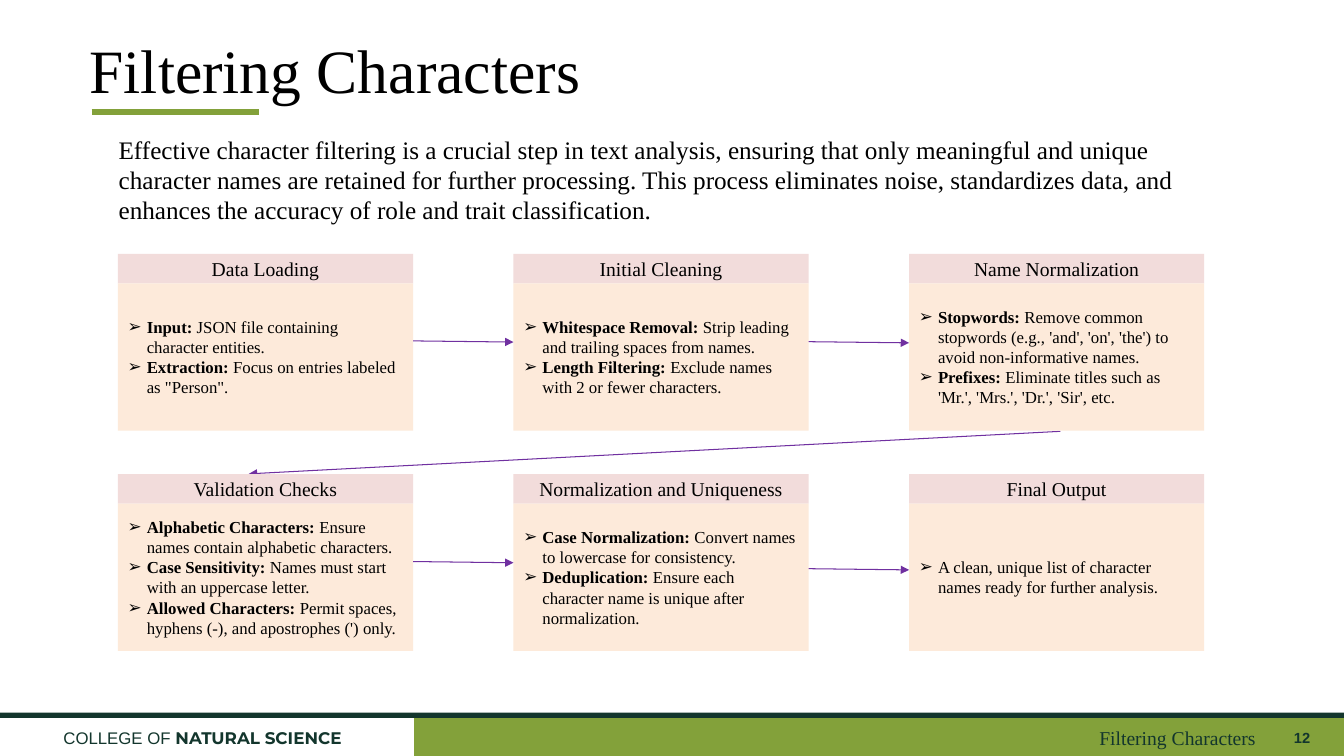
from lxml import etree
from pptx import Presentation
from pptx.dml.color import RGBColor
from pptx.enum import shapes, text
from pptx.oxml.ns import qn
from pptx.util import Cm, Pt

BLACK = RGBColor(0x00, 0x00, 0x00)
GREEN = RGBColor(0x83, 0xA1, 0x3A)
DARK_GREEN = RGBColor(0x13, 0x36, 0x2D)
PINK = RGBColor(0xF2, 0xDC, 0xDB)
PEACH = RGBColor(0xFD, 0xEA, 0xDA)
PURPLE = RGBColor(0x70, 0x30, 0xA0)
SERIF = "Times New Roman"
SANS = "Arial"

SLIDE_WIDTH, SLIDE_HEIGHT = 33.87, 19.05
CARD_LEFT, CARD_TOP = 2.97, 6.4
COLUMN_STEP, ROW_STEP = 9.97, 5.55
CARD_WIDTH, HEADER_HEIGHT, BODY_HEIGHT = 7.44, 0.74, 3.71
ARROW_DROP = 0.03

TITLE = "Filtering Characters"
INTRO = (
    "Effective character filtering is a crucial step in text analysis, ensuring that only "
    "meaningful and unique character names are retained for further processing. This process "
    "eliminates noise, standardizes data, and enhances the accuracy of role and trait "
    "classification."
)

# Rows of cards: heading, then (bold lead, explanation) for each bullet
STEPS = [
    [
        ("Data Loading", [
            ("Input: ", "JSON file containing character entities."),
            ("Extraction: ", 'Focus on entries labeled as "Person".'),
        ]),
        ("Initial Cleaning", [
            ("Whitespace Removal: ", "Strip leading and trailing spaces from names."),
            ("Length Filtering: ", "Exclude names with 2 or fewer characters."),
        ]),
        ("Name Normalization", [
            ("Stopwords: ", "Remove common stopwords (e.g., 'and', 'on', 'the') to avoid "
                            "non-informative names."),
            ("Prefixes: ", "Eliminate titles such as 'Mr.', 'Mrs.', 'Dr.', 'Sir', etc."),
        ]),
    ],
    [
        ("Validation Checks", [
            ("Alphabetic Characters: ", "Ensure names contain alphabetic characters."),
            ("Case Sensitivity: ", "Names must start with an uppercase letter."),
            ("Allowed Characters: ", "Permit spaces, hyphens (-), and apostrophes (') only."),
        ]),
        ("Normalization and Uniqueness", [
            ("Case Normalization: ", "Convert names to lowercase for consistency."),
            ("Deduplication: ", "Ensure each character name is unique after normalization."),
        ]),
        ("Final Output", [
            ("", "A clean, unique list of character names ready for further analysis."),
        ]),
    ],
]
# Start height of each arrow between neighbouring cards
ARROW_HEIGHTS = [[8.59, 8.61], [14.15, 14.33]]


def set_font(paragraph, size, color=BLACK, name=SERIF):
    paragraph.font.size = Pt(size)
    paragraph.font.name = name
    paragraph.font.color.rgb = color


def add_block(slide, left, top, width, height, color):
    block = slide.shapes.add_shape(
        shapes.MSO_SHAPE.RECTANGLE, Cm(left), Cm(top), Cm(width), Cm(height))
    block.shadow.inherit = False
    block.fill.solid()
    block.fill.fore_color.rgb = color
    block.line.fill.background()
    return block


def add_text(slide, left, top, width, height, content, size, color=BLACK, name=SERIF,
             align=text.PP_ALIGN.LEFT, anchor=text.MSO_ANCHOR.TOP, insets=(0.1, 0.05)):
    box = slide.shapes.add_textbox(Cm(left), Cm(top), Cm(width), Cm(height))
    frame = box.text_frame
    frame.word_wrap = True
    frame.vertical_anchor = anchor
    frame.margin_left = frame.margin_right = Cm(insets[0])
    frame.margin_top = frame.margin_bottom = Cm(insets[1])
    paragraph = frame.paragraphs[0]
    paragraph.text = content
    paragraph.alignment = align
    set_font(paragraph, size, color, name)
    return paragraph


def add_line(slide, start, end, color, width, arrow=False):
    line = slide.shapes.add_connector(
        shapes.MSO_CONNECTOR.STRAIGHT, *[Cm(value) for value in (*start, *end)])
    line.line.color.rgb = color
    line.line.width = Pt(width)
    if arrow:
        etree.SubElement(line.line._get_or_add_ln(), qn("a:tailEnd"), type="triangle")
    etree.SubElement(line._element.spPr, qn("a:effectLst"))


def add_bullet(paragraph):
    properties = paragraph._p.get_or_add_pPr()
    properties.set("marL", str(Cm(0.48)))
    properties.set("indent", str(-Cm(0.48)))
    etree.SubElement(properties, qn("a:buFont"), typeface=SANS)
    etree.SubElement(properties, qn("a:buChar"), char="➢")


def add_card(slide, left, top, heading, bullets):
    header = add_block(slide, left, top, CARD_WIDTH, HEADER_HEIGHT, PINK)
    header.text_frame.vertical_anchor = text.MSO_ANCHOR.MIDDLE
    paragraph = header.text_frame.paragraphs[0]
    paragraph.text = heading
    paragraph.alignment = text.PP_ALIGN.CENTER
    set_font(paragraph, 14)

    body = add_block(slide, left, top + HEADER_HEIGHT, CARD_WIDTH, BODY_HEIGHT, PEACH)
    frame = body.text_frame
    frame.word_wrap = True
    frame.vertical_anchor = text.MSO_ANCHOR.MIDDLE
    for index, (lead, explanation) in enumerate(bullets):
        paragraph = frame.add_paragraph() if index else frame.paragraphs[0]
        paragraph.alignment = text.PP_ALIGN.LEFT
        set_font(paragraph, 12)
        add_bullet(paragraph)
        if lead:
            run = paragraph.add_run()
            run.text = lead
            run.font.bold = True
        paragraph.add_run().text = explanation


def add_footer(slide):
    add_block(slide, 10.44, 18.01, SLIDE_WIDTH - 10.44, SLIDE_HEIGHT - 18.01, GREEN)
    add_block(slide, 0, 17.96, SLIDE_WIDTH, 0.13, DARK_GREEN)
    college = add_text(slide, 1.35, 18.21, 11.94, 0.76, "COLLEGE OF ", 12, DARK_GREEN, SANS,
                       insets=(0.25, 0.13))
    department = college.add_run()
    department.text = "NATURAL SCIENCE"
    department.font.name = "Montserrat"
    department.font.bold = True
    add_text(slide, 10.44, 18.08, 21.31, 1.02, TITLE, 14, DARK_GREEN,
             align=text.PP_ALIGN.RIGHT, anchor=text.MSO_ANCHOR.MIDDLE)
    number = add_text(slide, 32.13, 18.31, 1.09, 0.58, "12 ", 10.5, DARK_GREEN, SANS,
                      align=text.PP_ALIGN.RIGHT)
    number.font.bold = True


def main():
    presentation = Presentation()
    presentation.slide_width = Cm(SLIDE_WIDTH)
    presentation.slide_height = Cm(SLIDE_HEIGHT)
    slide = presentation.slides.add_slide(presentation.slide_layouts[6])

    add_footer(slide)

    # Title with accent rule, then introduction
    title = add_text(slide, 2.16, 0.64, 30.48, 2.41, TITLE, 44,
                     anchor=text.MSO_ANCHOR.MIDDLE)
    title.line_spacing = 0.9
    add_line(slide, (2.31, 2.82), (6.53, 2.82), GREEN, 4.5)
    add_text(slide, 2.74, 3.25, 28.35, 2.57, INTRO, 18, insets=(0.25, 0.13))

    # Link from the first row to the second
    add_line(slide, (26.72, 10.87), (6.27, 11.94), PURPLE, 0.75, arrow=True)

    # Process cards and the arrows between them
    for row, (cards, heights) in enumerate(zip(STEPS, ARROW_HEIGHTS)):
        for column, (heading, bullets) in enumerate(cards):
            add_card(slide, CARD_LEFT + column * COLUMN_STEP, CARD_TOP + row * ROW_STEP,
                     heading, bullets)
        for column, height in enumerate(heights):
            left = CARD_LEFT + column * COLUMN_STEP
            add_line(slide, (left + CARD_WIDTH, height),
                     (left + COLUMN_STEP, height + ARROW_DROP), PURPLE, 0.75, arrow=True)

    presentation.save("out.pptx")


if __name__ == "__main__":
    main()
